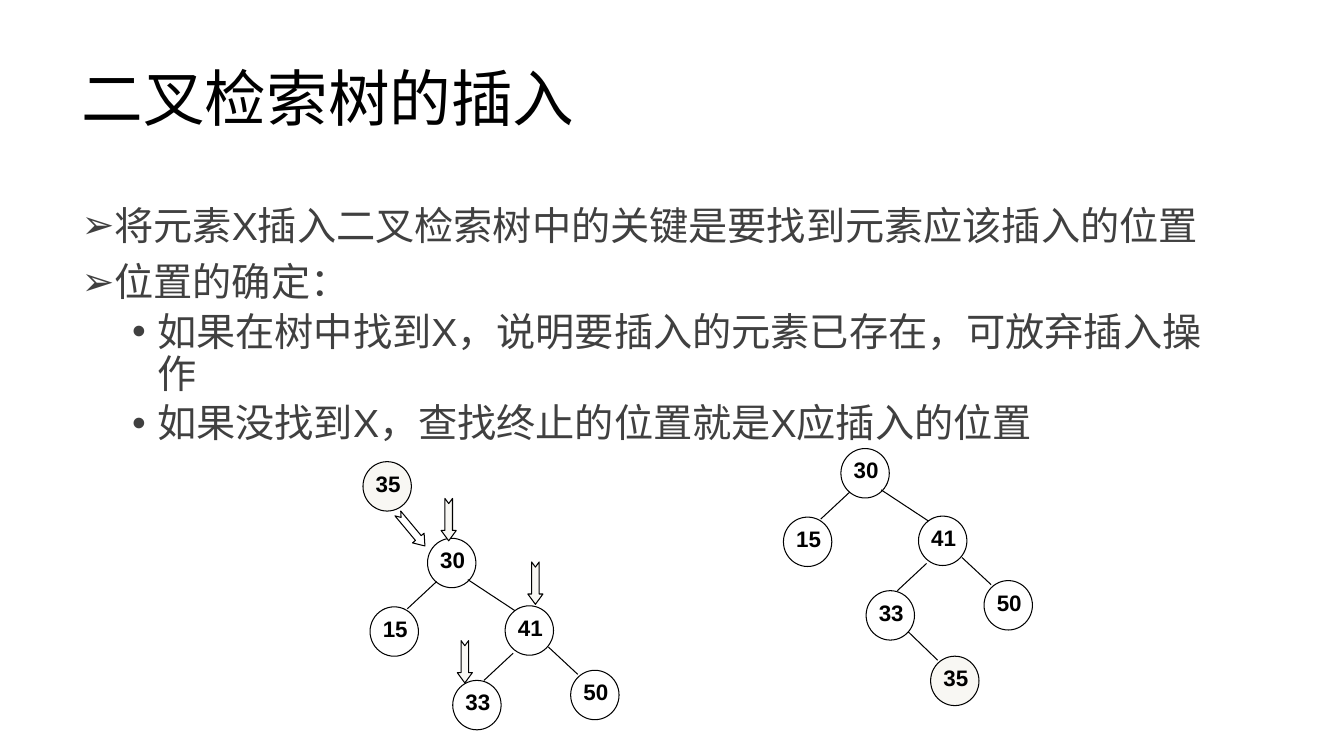
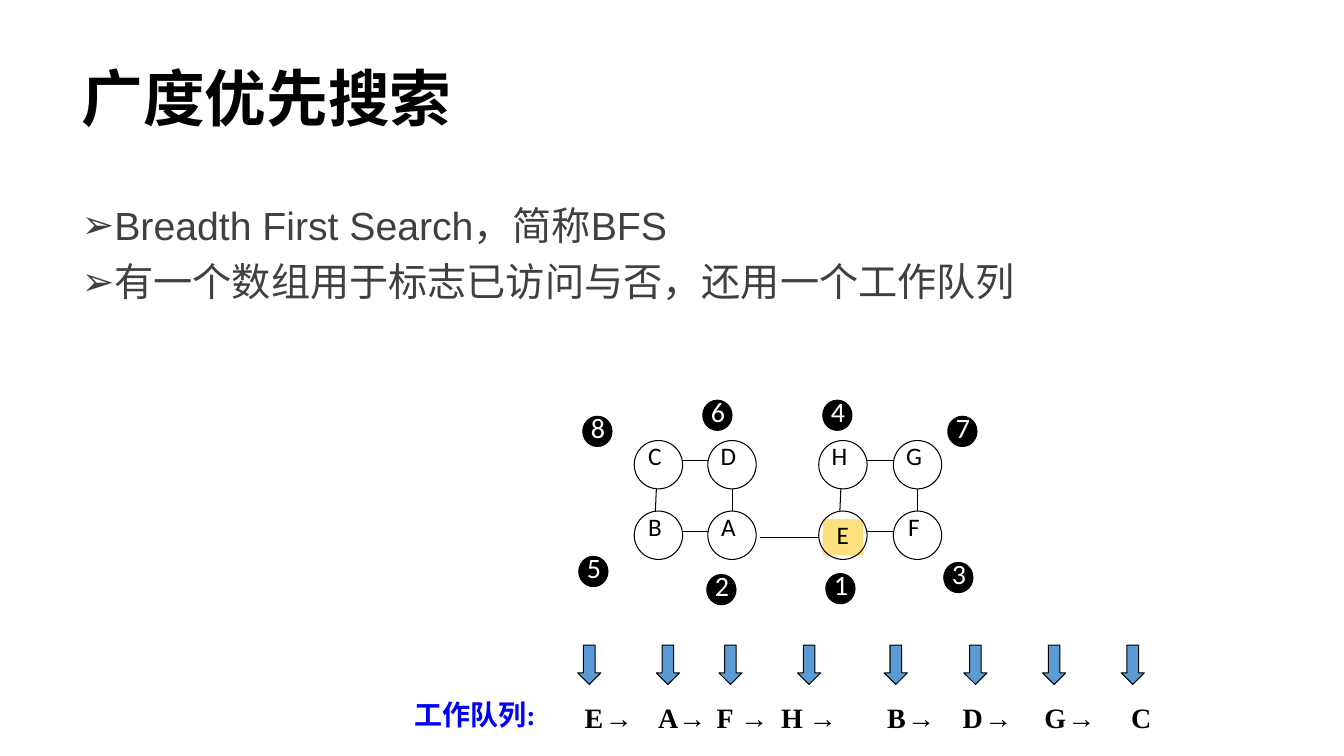
from itertools import groupby, product

from lxml import etree
from pptx import Presentation
from pptx.dml.color import RGBColor
from pptx.enum.shapes import MSO_CONNECTOR, MSO_SHAPE
from pptx.enum.text import MSO_ANCHOR, MSO_AUTO_SIZE, PP_ALIGN
from pptx.oxml.ns import qn
from pptx.util import Inches, Pt

BLACK = RGBColor(0x00, 0x00, 0x00)
WHITE = RGBColor(0xFF, 0xFF, 0xFF)
DARK_GRAY = RGBColor(0x40, 0x40, 0x40)
NEW_NODE = RGBColor(0xF8, 0xF7, 0xF3)
START_NODE = RGBColor(0xFF, 0xE0, 0x80)
ARROW_BLUE = RGBColor(0x5B, 0x9B, 0xD5)
CAPTION_BLUE = RGBColor(0x00, 0x00, 0xFF)

ELLIPSE = MSO_SHAPE.OVAL
RECTANGLE = MSO_SHAPE.RECTANGLE
DOWN_ARROW = MSO_SHAPE.DOWN_ARROW
NOTCHED_ARROW = MSO_SHAPE.NOTCHED_RIGHT_ARROW
STRAIGHT = MSO_CONNECTOR.STRAIGHT
LEFT, CENTER = PP_ALIGN.LEFT, PP_ALIGN.CENTER
TOP, MIDDLE = MSO_ANCHOR.TOP, MSO_ANCHOR.MIDDLE
FIXED, GROW = MSO_AUTO_SIZE.NONE, MSO_AUTO_SIZE.SHAPE_TO_FIT_TEXT

SANS, SERIF, MONO, LABEL = "Arial", "Times New Roman", "Courier New", "Calibri"
# Per list level: bullet, left margin, space before
LEVELS = [("➢", 0.25, 10), ("•", 0.75, 5)]
NODE_SIZE = 0.48


class Deck:
    """Holds the shared style and the current slide."""

    def __init__(self):
        """Start a widescreen presentation."""
        self.presentation = Presentation()
        self.presentation.slide_width = Inches(13.33)
        self.presentation.slide_height = Inches(7.5)
        self.slide = None

    def style(self, font, name, size, color, bold=False):
        """Set the look of a font."""
        font.name, font.size, font.bold = name, Pt(size), bold
        font.color.rgb = color

    def place(self, shape, left, top, width, height):
        """Move and size a shape."""
        shape.left, shape.top = Inches(left), Inches(top)
        shape.width, shape.height = Inches(width), Inches(height)

    def add_slide(self, title, items, title_font=SANS, title_bold=False):
        """Add a slide with a title and a list of (level, text) items."""
        layout = self.presentation.slide_layouts[1]
        self.slide = self.presentation.slides.add_slide(layout)
        heading, body = self.slide.placeholders
        self.place(heading, 0.71, 0.28, 11.5, 1.45)
        self.place(body, 0.71, 2, 11.5, 4.76)
        for placeholder, anchor in ((heading, MIDDLE), (body, TOP)):
            placeholder.text_frame.auto_size = FIXED
            placeholder.text_frame.vertical_anchor = anchor
        heading.text_frame.text = title
        paragraph = heading.text_frame.paragraphs[0]
        paragraph.alignment = LEFT
        paragraph.line_spacing = 0.9
        self.style(paragraph.font, title_font, 44, BLACK, title_bold)
        body.text_frame.text = "\n".join(text for _, text in items)
        for paragraph, (level, _) in zip(body.text_frame.paragraphs, items):
            self.format_item(paragraph, level)

    def format_item(self, paragraph, level):
        """Give a list paragraph its bullet, indent, spacing and font."""
        bullet, margin, space = LEVELS[level]
        paragraph.level = level
        paragraph.line_spacing = 0.9
        paragraph.space_before = Pt(space)
        properties = paragraph._p.get_or_add_pPr()
        properties.set("marL", str(Inches(margin)))
        properties.set("indent", str(Inches(-0.25)))
        etree.SubElement(properties, qn("a:buFont"), typeface=SANS)
        etree.SubElement(properties, qn("a:buChar"), char=bullet)
        self.style(paragraph.font, SANS, 28, DARK_GRAY)

    def shape(self, kind, left, top, width, height, fill=None, line=BLACK):
        """Add a preset shape, with or without fill and outline."""
        shape = self.slide.shapes.add_shape(
            kind, Inches(left), Inches(top), Inches(width), Inches(height))
        shape.shadow.inherit = False
        if fill is None:
            shape.fill.background()
        else:
            shape.fill.solid()
            shape.fill.fore_color.rgb = fill
        if line is None:
            shape.line.fill.background()
        else:
            shape.line.color.rgb = line
            shape.line.width = Pt(0.75)
        return shape

    def line(self, start, end):
        """Add a thin straight line between two points."""
        connector = self.slide.shapes.add_connector(
            STRAIGHT, *(Inches(value) for value in (*start, *end)))
        connector.line.color.rgb = BLACK
        connector.line.width = Pt(0.75)
        etree.SubElement(connector._element.spPr, qn("a:effectLst"))

    def label(self, text, left, top, width, height, fill, name, size, bold=False):
        """Add a filled box with centred text and no margins."""
        box = self.shape(RECTANGLE, left, top, width, height, fill, None)
        self.fill_tight(box.text_frame, text, CENTER)
        self.style(box.text_frame.paragraphs[0].font, name, size, BLACK, bold)

    def fill_tight(self, frame, text, alignment):
        """Put text in a frame without margins."""
        frame.margin_left = frame.margin_right = 0
        frame.margin_top = frame.margin_bottom = 0
        frame.word_wrap = True
        frame.vertical_anchor = TOP
        frame.text = text
        frame.paragraphs[0].alignment = alignment

    def textbox(self, left, top, width, height):
        """Add an empty text box and return its frame."""
        box = self.slide.shapes.add_textbox(
            Inches(left), Inches(top), Inches(width), Inches(height))
        return box.text_frame

    def tree_node(self, text, left, top, fill=WHITE):
        """Add a round tree node with its key."""
        self.shape(ELLIPSE, left, top, NODE_SIZE, 0.49, fill)
        self.label(text, left + 0.12, top + 0.08, 0.26, 0.29, fill, SANS, 16, True)

    def graph_node(self, text, left, top):
        """Add a round graph node with its name."""
        if text == "E":
            self.label(text, left + 0.04, top + 0.08, 0.4, 0.36, START_NODE, LABEL, 18)
        else:
            self.label(text, left, top, 0.41, 0.36, WHITE, LABEL, 18)
        self.shape(ELLIPSE, left, top, NODE_SIZE, NODE_SIZE)

    def badge(self, text, left, top):
        """Add a black disc with a visiting number."""
        self.shape(ELLIPSE, left, top, 0.29, 0.3, BLACK)
        frame = self.textbox(left + 0.08, top - 0.06, 0.25, 0.37)
        self.fill_tight(frame, text, LEFT)
        self.style(frame.paragraphs[0].font, LABEL, 20, WHITE)

    def pointer(self, left, top, rotation=90, fill=NEW_NODE):
        """Add a small notched arrow."""
        arrow = self.shape(NOTCHED_ARROW, left, top, 0.42, 0.15, fill)
        arrow.adjustments[0], arrow.adjustments[1] = 0.5, 0.68
        arrow.rotation = rotation

    def queue_text(self, text, left, width, stops=()):
        """Add part of the queue, with arrows in their own font."""
        frame = self.textbox(left, 6.9, width, 0.44)
        frame.word_wrap = bool(stops)
        frame.auto_size = GROW
        paragraph = frame.paragraphs[0]
        if stops:
            tabs = etree.SubElement(paragraph._p.get_or_add_pPr(), qn("a:tabLst"))
            for stop in stops:
                etree.SubElement(tabs, qn("a:tab"), pos=str(Inches(stop)), algn="l")
        for is_arrow, characters in groupby(text, lambda character: character == "→"):
            run = paragraph.add_run()
            run.text = "".join(characters)
            self.style(run.font, MONO if is_arrow else SERIF, 20, BLACK, True)

    def caption(self, text, left, top, width, height):
        """Add a bold blue caption."""
        frame = self.textbox(left, top, width, height)
        frame.word_wrap = False
        frame.auto_size = GROW
        frame.text = text
        self.style(frame.paragraphs[0].font, SERIF, 20, CAPTION_BLUE, True)


# Tree positions are offsets from the root's top left corner
TREE_NODES = [("30", 0, 0), ("15", -0.57, 0.68), ("41", 0.77, 0.67),
              ("33", 0.25, 1.41), ("50", 1.42, 1.31)]
TREE_EDGES = [((0.4, 0.41), (0.87, 0.72)), ((0.09, 0.43), (-0.2, 0.7)),
              ((0.85, 1.14), (0.56, 1.41)), ((1.2, 1.08), (1.49, 1.35))]


def draw_tree(deck, left, top, new_node, extra_edges=()):
    """Draw the search tree and the node 35 at its offset."""
    for text, across, down in TREE_NODES:
        deck.tree_node(text, left + across, top + down)
    deck.tree_node("35", left + new_node[0], top + new_node[1], NEW_NODE)
    for edge in (*TREE_EDGES, *extra_edges):
        deck.line(*((left + across, top + down) for across, down in edge))


def insertion_slide(deck):
    """Build the slide on inserting into a search tree."""
    deck.add_slide("二叉检索树的插入", [
        (0, "将元素X插入二叉检索树中的关键是要找到元素应该插入的位置"),
        (0, "位置的确定："),
        (1, "如果在树中找到X，说明要插入的元素已存在，可放弃插入操作"),
        (1, "如果没找到X，查找终止的位置就是X应插入的位置")])
    draw_tree(deck, 8.34, 4.45, (0.89, 2.06), [((0.67, 1.82), (0.96, 2.1))])
    draw_tree(deck, 4.24, 5.34, (-0.64, -0.76))
    deck.pointer(3.87, 5.18, 50.2, WHITE)
    for left, top in ((4.24, 5.08), (5.1, 5.71), (4.4, 6.49)):
        deck.pointer(left, top)


def search_slide(deck):
    """Build the slide on breadth first search."""
    deck.add_slide("广度优先搜索", [
        (0, "Breadth First Search，简称BFS"),
        (0, "有一个数组用于标志已访问与否，还用一个工作队列")], SERIF, True)
    columns, rows = (6.29, 7.02, 8.12, 8.86), (4.37, 5.07)
    for left, top in product(columns[::2], rows):
        deck.line((left + NODE_SIZE, top + 0.2), (left + 0.74, top + 0.2))
    for text, (top, left) in zip("CDHGBAEF", product(rows, columns)):
        deck.graph_node(text, left, top)
    for left in columns[::2]:
        deck.line((left + 0.22, 4.85), (left + 0.21, 5.07))
        deck.line((left + 0.98, 4.85), (left + 0.98, 5.07))
    deck.line((7.54, 5.33), (8.12, 5.33))

    badges = [(8.19, 5.69), (7.01, 5.7), (9.36, 5.58), (8.16, 3.97),
              (5.74, 5.52), (6.97, 3.97), (9.4, 4.13), (5.78, 4.13)]
    for number, (left, top) in enumerate(badges, 1):
        deck.badge(str(number), left, top)

    deck.queue_text("E →", 5.7, 0.7)
    deck.queue_text("A →\tF\t→\tH\t→", 6.43, 2.27, (0.58, 0.87, 1.22, 1.55))
    deck.queue_text("B →\tD →", 8.7, 1.64, (0.75,))
    deck.queue_text("G →", 10.26, 0.77)
    deck.queue_text("C", 11.12, 0.4)
    for left in (5.73, 6.51, 7.13, 7.91, 8.77, 9.56, 10.34, 11.12):
        deck.shape(DOWN_ARROW, left, 6.4, 0.23, 0.39, ARROW_BLUE)
    deck.caption("工作队列:", 4.01, 6.87, 1.42, 0.44)


deck = Deck()
insertion_slide(deck)
search_slide(deck)
deck.presentation.save("out.pptx")
